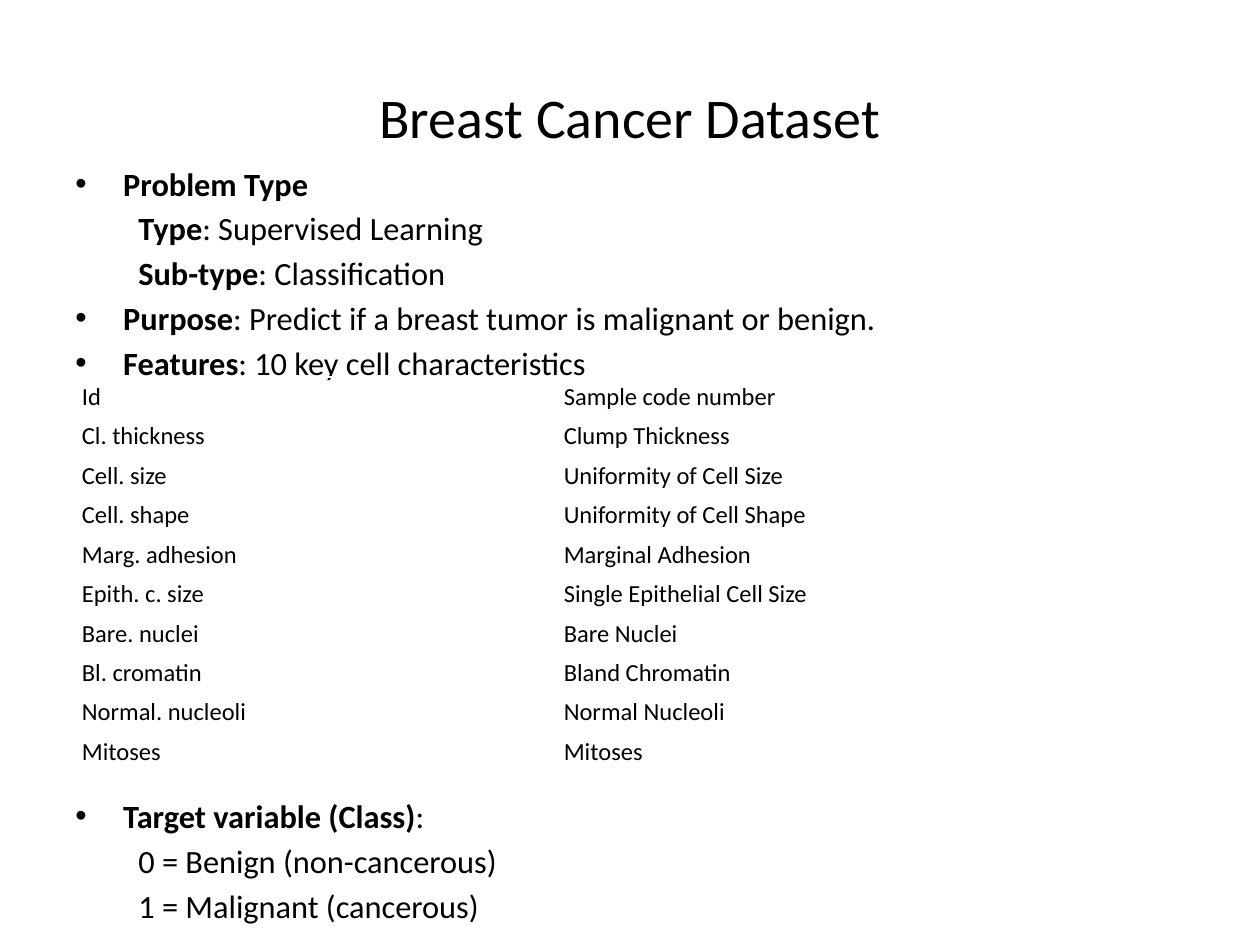
from dataclasses import dataclass

from lxml.etree import SubElement
from pptx import Presentation
from pptx.dml.color import RGBColor
from pptx.enum.text import MSO_ANCHOR, PP_ALIGN
from pptx.oxml.ns import qn
from pptx.util import Inches, Pt


@dataclass(frozen=True)
class Theme:
    font: str = "Calibri"
    ink: RGBColor = RGBColor(0, 0, 0)
    title: Pt = Pt(32)
    body: Pt = Pt(18.5)
    cell: Pt = Pt(14)
    gap: Pt = Pt(3.4)
    table_gap: Pt = Pt(236.8)


theme = Theme()


def add_run(p, text, size, bold=False):
    r = p.add_run()
    r.text = text
    r.font.color.rgb = theme.ink
    formats = {"name": theme.font, "size": size, "bold": bold}
    for name, value in formats.items():
        setattr(r.font, name, value)


def add_text(s, left, top, width, height, anchor):
    tf = s.shapes.add_textbox(Inches(left), Inches(top), Inches(width), Inches(height)).text_frame
    tf.word_wrap = True
    tf.vertical_anchor = anchor
    return tf


prs = Presentation()
prs.slide_width, prs.slide_height = Inches(10), Inches(7.5)
s = prs.slides.add_slide(prs.slide_layouts[6])

p = add_text(s, 0.5, 0.3, 9, 1.25, MSO_ANCHOR.MIDDLE).paragraphs[0]
p.alignment = PP_ALIGN.CENTER
add_run(p, "Breast Cancer Dataset", theme.title)

points = [
    (True, "Problem Type", "", theme.gap),
    (False, "Type", ": Supervised Learning", theme.gap),
    (False, "Sub-type", ": Classification", theme.gap),
    (True, "Purpose", ": Predict if a breast tumor is malignant or benign.", theme.gap),
    (True, "Features", ": 10 key cell characteristics", theme.gap),
    (True, "Target variable (Class)", ":", theme.table_gap),
    (False, "", "0 = Benign (non-cancerous)", theme.gap),
    (False, "", "1 = Malignant (cancerous)", theme.gap),
]
tf = add_text(s, 0.5, 1.25, 9, 6.13, MSO_ANCHOR.TOP)
for i, (bulleted, label, detail, space) in enumerate(points):
    p = tf.add_paragraph() if i else tf.paragraphs[0]
    p.space_before = space
    pPr = p._p.get_or_add_pPr()
    pPr.set("marL", str(Inches(0.38 if bulleted else 0.5)))
    pPr.set("indent", str(Inches(-0.38 if bulleted else 0)))
    if bulleted:
        SubElement(pPr, qn("a:buFont"), typeface="Arial")
        SubElement(pPr, qn("a:buChar"), char="•")
    for text, bold in ((label, True), (detail, False)):
        if text:
            add_run(p, text, theme.body, bold)

features = [
    ("Id", "Sample code number"),
    ("Cl. thickness", "Clump Thickness"),
    ("Cell. size", "Uniformity of Cell Size"),
    ("Cell. shape", "Uniformity of Cell Shape"),
    ("Marg. adhesion", "Marginal Adhesion"),
    ("Epith. c. size", "Single Epithelial Cell Size"),
    ("Bare. nuclei", "Bare Nuclei"),
    ("Bl. cromatin", "Bland Chromatin"),
    ("Normal. nucleoli", "Normal Nucleoli"),
    ("Mitoses", "Mitoses"),
]
table = s.shapes.add_table(
    len(features), 2, Inches(0.61), Inches(2.99), Inches(7.65), Inches(3.11)
).table
table.first_row = table.horz_banding = False
for row, texts in zip(table.rows, features):
    for cell, text in zip(row.cells, texts):
        cell.fill.background()
        for side in ("left", "right", "top", "bottom"):
            setattr(cell, f"margin_{side}", Inches(0.04))
        add_run(cell.text_frame.paragraphs[0], text, theme.cell)

prs.save("out.pptx")
